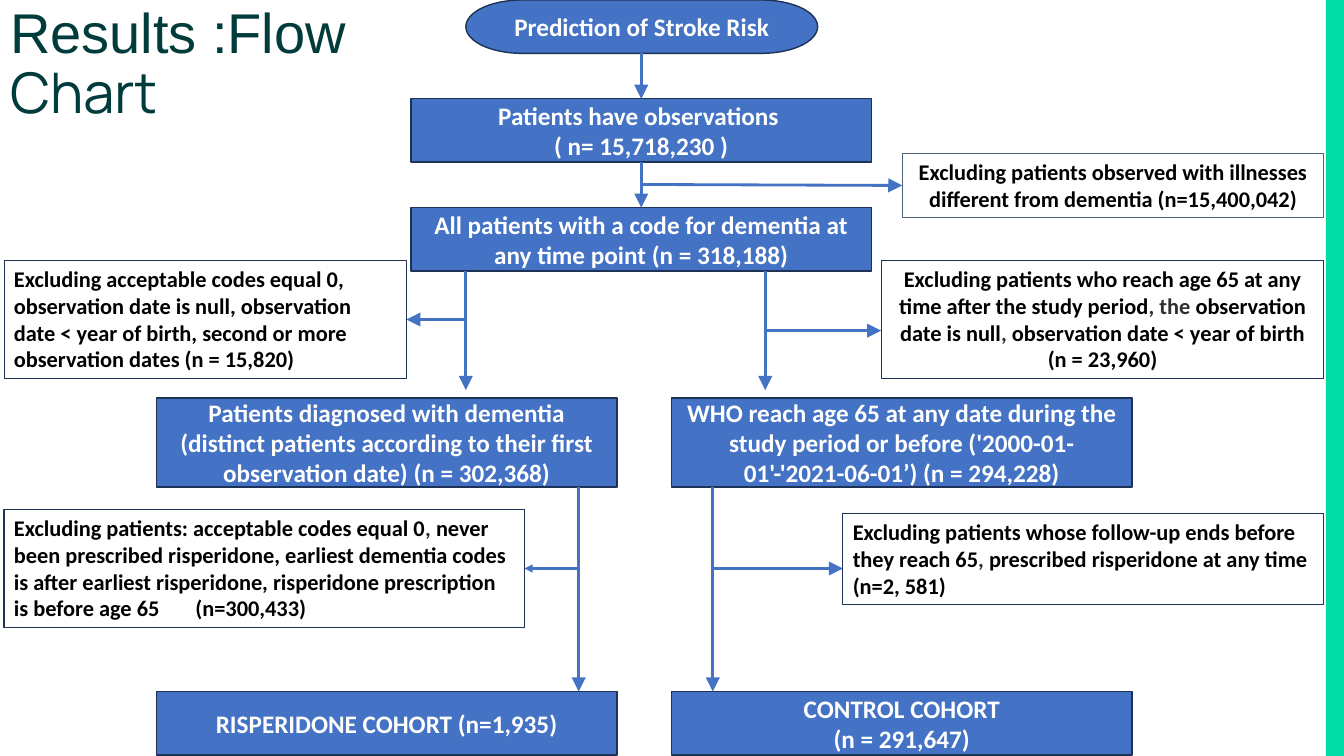
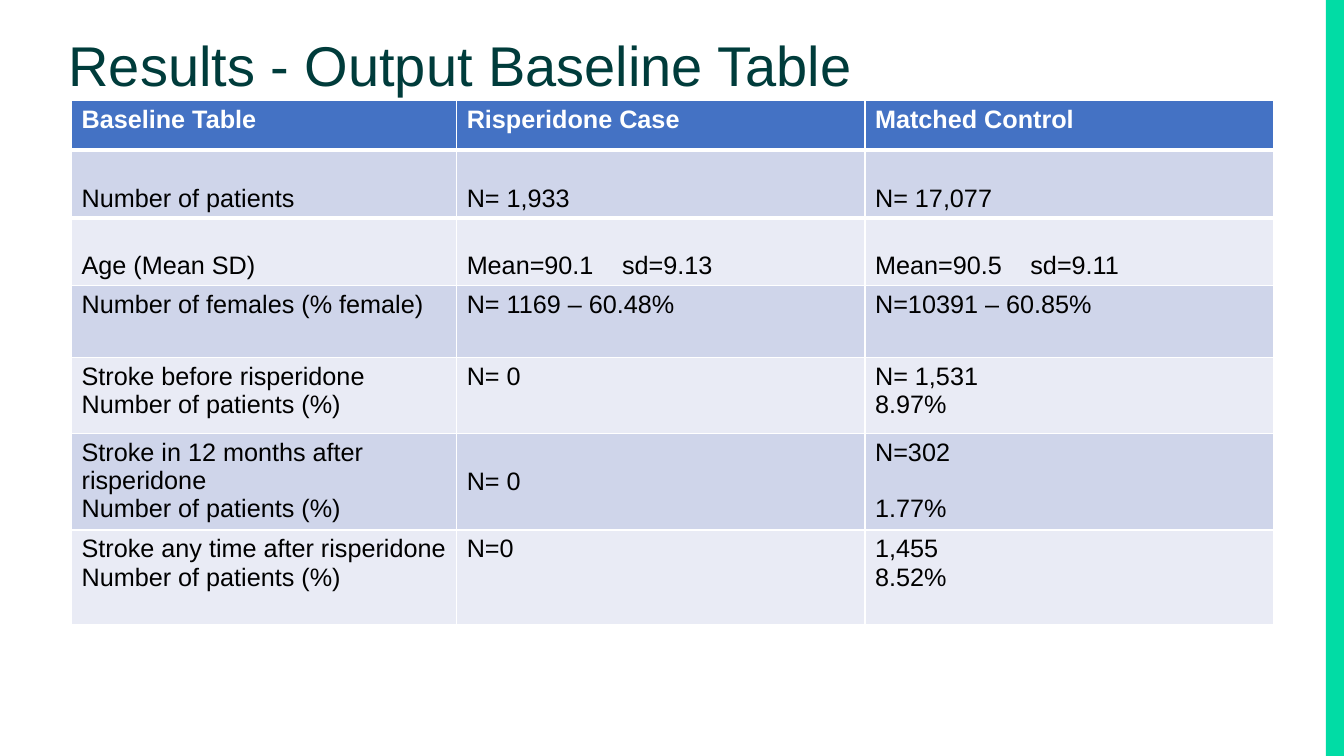
from lxml import etree
from pptx import Presentation
from pptx import util as u
from pptx.dml.color import RGBColor
from pptx.enum import shapes, text
from pptx.oxml import ns

BLUE, NAVY, TEAL, GREEN = "4472C4", "1E3256", "003C3B", "01DCA5"
WHITE, BLACK, GREY, PALE_NAVY = "FFFFFF", "000000", "303030", "52617D"
BANDS = ("CFD5EA", "E9EBF5")
I = u.Inches
LEFT, CENTER = text.PP_ALIGN.LEFT, text.PP_ALIGN.CENTER
TOP, MIDDLE, BOTTOM = (text.MSO_ANCHOR.TOP, text.MSO_ANCHOR.MIDDLE,
                       text.MSO_ANCHOR.BOTTOM)
RECT = shapes.MSO_SHAPE.RECTANGLE


def rgb(value):
    return RGBColor.from_string(value)


def style(r, size, font, color, bold=False):
    r.font.size, r.font.name, r.font.bold = u.Pt(size), font, bold
    r.font.color.rgb = rgb(color)


def add_tab(p, pos):
    tabs = etree.SubElement(p._p.get_or_add_pPr(), ns.qn("a:tabLst"))
    etree.SubElement(tabs, ns.qn("a:tab"), pos=str(I(pos)), algn="l")


# Shared slide parts
def trim_template(prs, keep):
    """Drop the unused layouts and the date, footer and number fields."""
    for layout in list(prs.slide_layouts):
        if layout != keep:
            prs.slide_layouts.remove(layout)
    kinds = shapes.PP_PLACEHOLDER
    unused = (kinds.DATE, kinds.FOOTER, kinds.SLIDE_NUMBER)
    for holder in (prs.slide_master, keep):
        for sp in list(holder.placeholders):
            if sp.placeholder_format.type in unused:
                holder.shapes.element.remove(sp.element)


def add_band(prs, s):
    """Put the right-hand band on the master, so every slide shows it."""
    sp = s.shapes.add_shape(RECT, I(13.15), 0, I(0.18), prs.slide_height)
    sp.shadow.inherit = False
    sp.fill.solid()
    sp.fill.fore_color.rgb = rgb(GREEN)
    sp.line.fill.background()
    sp.element.nvSpPr.cNvPr.set("id", "20")
    prs.slide_master.shapes.element.append(sp.element)


def set_title(s, box, *pieces):
    """Each piece is a (text, font) pair."""
    title = s.shapes.title
    title.left, title.top, title.width, title.height = map(I, box)
    tf = title.text_frame
    tf.word_wrap, tf.vertical_anchor = True, TOP
    tf.auto_size = text.MSO_AUTO_SIZE.NONE
    p = tf.paragraphs[0]
    p.alignment, p.line_spacing = LEFT, 0.9
    for words, font in pieces:
        r = p.add_run()
        r.text = words
        style(r, 40, font, TEAL)


# Flow chart parts
def add_box(s, box, words, size, color, line, weight, align, anchor,
            fill=None, shape=RECT):
    """Write one paragraph per line; text between bars is grey."""
    sp = s.shapes.add_shape(shape, *map(I, box))
    sp.shadow.inherit = False
    if fill:
        sp.fill.solid()
        sp.fill.fore_color.rgb = rgb(fill)
    else:
        sp.fill.background()
    sp.line.color.rgb, sp.line.width = rgb(line), u.Pt(weight)
    tf = sp.text_frame
    tf.word_wrap, tf.vertical_anchor = True, anchor
    for i, row in enumerate(words.split("\n")):
        p = tf.add_paragraph() if i else tf.paragraphs[0]
        p.alignment = align
        for j, piece in enumerate(row.split("|")):
            r = p.add_run()
            r.text = piece
            style(r, size, "Calibri", GREY if j % 2 else color, True)
    return sp


def add_step(s, box, words, shape=RECT):
    add_box(s, box, words, 18, WHITE, NAVY, 1, CENTER, MIDDLE, BLUE, shape)


def add_note(s, box, words, align=LEFT, line=NAVY):
    return add_box(s, box, words, 16, BLACK, line, 0.75, align, TOP)


def add_arrow(s, x1, y1, x2, y2, head="lg"):
    c = s.shapes.add_connector(shapes.MSO_CONNECTOR.STRAIGHT,
                               *map(I, (x1, y1, x2, y2)))
    c.line.color.rgb, c.line.width = rgb(BLUE), u.Pt(2)
    etree.SubElement(c.line._get_or_add_ln(), ns.qn("a:tailEnd"),
                     type="triangle", w=head, len=head)
    etree.SubElement(c.element.spPr, ns.qn("a:effectLst"))


def selection(s, x, y):
    """Common steps, centred on x."""
    w, h = 4.57, 0.63
    left = x - w / 2
    add_step(s, (x - 1.74, y, 3.49, 0.53), "Prediction of Stroke Risk",
             shapes.MSO_SHAPE.FLOWCHART_TERMINATOR)
    add_step(s, (left, y + 0.98, w, h),
             "Patients have observations \n( n= 15,718,230 )")
    add_step(s, (left, y + 2.06, w, h),
             "All patients with a code for dementia at any time point "
             "(n = 318,188)")
    add_note(s, (x + 2.59, y + 1.52, 4.18, 0.64),
             "Excluding patients observed with illnesses different from "
             "dementia (n=15,400,042)", CENTER, PALE_NAVY)
    add_arrow(s, x, y + 0.53, x, y + 0.98)
    add_arrow(s, x, y + 1.61, x, y + 2.06)
    add_arrow(s, x, y + 1.83, x + 2.59, y + 1.84)


def branch(s, x, y, steps, lines, turns):
    """Two steps at x, y; lines are the arrows down, turns those aside."""
    for words, dy, h in zip(steps, (1.26, 4.17), (0.88, 0.63)):
        add_step(s, (x, y + dy, 4.57, h), words)
    for line_x, turn, y1, y2 in zip(lines, turns, (0, 2.14), (1.18, 4.17)):
        end_x, dy, head = turn
        add_arrow(s, line_x, y + y1, line_x, y + y2)
        add_arrow(s, line_x, y + dy, end_x, y + dy, head)


def flow_slide(s):
    set_title(s, (0, 0, 4.95, 0.72), ("Results :Flow", "Arial"),
              (" Chart", "Manrope"))
    selection(s, 6.36, 0)

    # Risperidone side
    branch(s, 1.55, 2.69,
           ("Patients diagnosed with dementia (distinct patients according "
            "to their first observation date) (n = 302,368)",
            "RISPERIDONE COHORT (n=1,935)"),
           (4.62, 5.74), ((4.03, 0.48, "lg"), (5.2, 2.95, "med")))
    add_note(s, (0.04, 2.58, 3.99, 1.18),
             "Excluding acceptable codes equal 0, observation date is null, "
             "observation date < year of birth, second or more observation "
             "dates (n = 15,820)")
    sp = add_note(s, (0.04, 5.05, 5.16, 1.18),
                  "Excluding patients: acceptable codes equal 0|, |never been "
                  "prescribed risperidone, earliest dementia codes is after "
                  "earliest risperidone, risperidone prescription is before "
                  "age 65\t(n=300,433)")
    add_tab(sp.text_frame.paragraphs[0], 1.8)

    # Control side
    branch(s, 6.66, 2.69,
           ("WHO reach age 65 at any date during the study period or before "
            "('2000-01-01'-'2021-06-01’) (n = 294,228)",
            "CONTROL COHORT\n(n = 291,647)"),
           (7.59, 7.07), ((8.74, 0.59, "lg"), (8.36, 2.95, "lg")))
    add_note(s, (8.74, 2.58, 4.39, 1.18),
             "Excluding patients who reach age 65 at any time after the study "
             "period|, the |observation date is null|, |observation date < "
             "year of birth\n(n = 23,960)", CENTER)
    add_note(s, (8.36, 5.09, 4.77, 0.91),
             "Excluding patients whose follow-up ends before they reach 65|, |"
             "prescribed risperidone at any time\n(n=2, 581)")


# Baseline table
ROWS = (
    (0.49, "Baseline Table", "Risperidone Case", "Matched Control"),
    (0.67, "Number of patients", "N= 1,933", "N= 17,077"),
    (0.67, "Age (Mean SD)", "Mean=90.1\tsd=9.13", "Mean=90.5\tsd=9.11"),
    (0.72, "Number of females (% female)", "N= 1169 – 60.48%",
     "N=10391 – 60.85%"),
    (0.75, "Stroke before risperidone\nNumber of patients (%)", "N= 0",
     "N= 1,531\n8.97%"),
    (0.96, "Stroke in 12 months after risperidone\nNumber of patients (%)",
     "N= 0", "N=302\n1.77%"),
    (0.94, "Stroke any time after risperidone\nNumber of patients (%)",
     "N=0", "1,455\n8.52%"),
)


def add_border(cell, side, weight):
    ln = etree.Element(ns.qn("a:" + side), w=str(u.Pt(weight)))
    fill = etree.SubElement(ln, ns.qn("a:solidFill"))
    etree.SubElement(fill, ns.qn("a:srgbClr"), val=WHITE)
    cell._tc.get_or_add_tcPr().insert(0, ln)


def baseline_table(s, left, top):
    widths = (3.82, 4.05, 4.05)
    height = sum(row[0] for row in ROWS)
    tbl = s.shapes.add_table(len(ROWS), len(widths), I(left), I(top),
                             I(sum(widths)), I(height)).table
    for col, w in zip(tbl.columns, widths):
        col.width = I(w)
    for i, (h, *values) in enumerate(ROWS):
        tbl.rows[i].height = I(h)
        for j, value in enumerate(values):
            cell = tbl.cell(i, j)
            cell.fill.solid()
            cell.fill.fore_color.rgb = rgb(BANDS[(i - 1) % 2] if i else BLUE)
            if i < 2:
                add_border(cell, "lnT" if i else "lnB", 3)
            cell.vertical_anchor = BOTTOM if i in (1, 2) else TOP
            cell.text_frame.text = value
            for p in cell.text_frame.paragraphs:
                if "\t" in value:
                    add_tab(p, 1.54)
                for r in p.runs:
                    style(r, 18, "Arial", BLACK if i else WHITE, i == 0)
    # The 12-month row is spread over its height
    tbl.cell(5, 1).vertical_anchor = MIDDLE
    tbl.cell(5, 2).text_frame.paragraphs[1].space_before = u.Pt(20)


def table_slide(s):
    set_title(s, (0.58, 0.33, 8.93, 0.72),
              ("Results - Output Baseline Table", "Arial"))
    baseline_table(s, 0.71, 1)


def main():
    prs = Presentation()
    prs.slide_width, prs.slide_height = I(13.33), I(7.5)
    layout = prs.slide_layouts[5]
    trim_template(prs, layout)
    s = prs.slides.add_slide(layout)
    add_band(prs, s)
    flow_slide(s)
    table_slide(prs.slides.add_slide(layout))
    prs.save("out.pptx")


if __name__ == "__main__":
    main()
